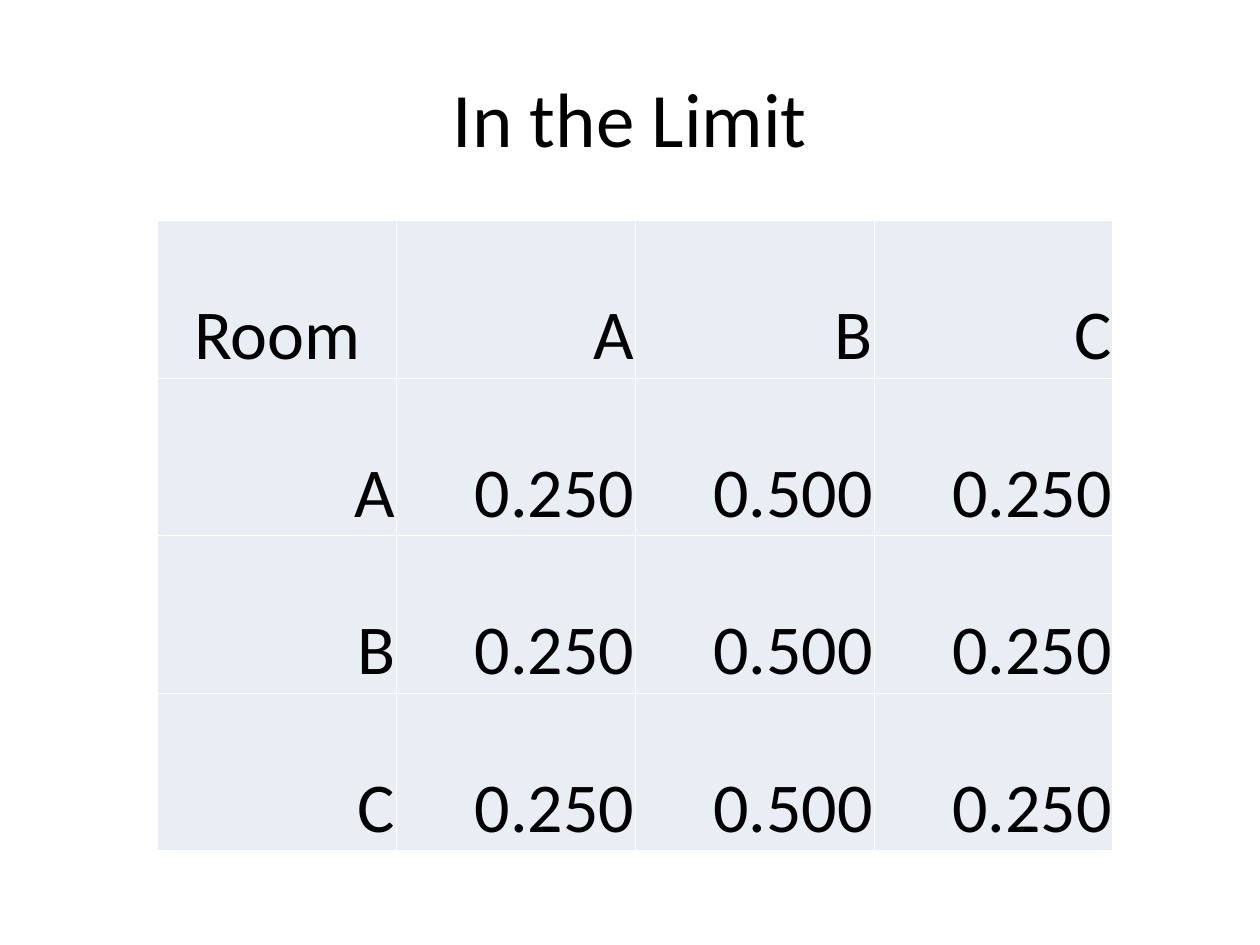
from lxml.etree import SubElement
from pptx import Presentation
from pptx.dml.color import RGBColor
from pptx.enum.text import MSO_ANCHOR as Anchor, PP_ALIGN as Align
from pptx.oxml.ns import qn
from pptx.util import Cm, Pt

COLOURS = {"text": "000000", "cell": "E9EDF4", "border": "FFFFFF"}
FONT = "Calibri"
ROOMS = ["A", "B", "C"]
LIMIT = ["0.250", "0.500", "0.250"]
CELL_FORMAT = {
    "margin_left": Cm(0.03),
    "margin_right": Cm(0.03),
    "margin_top": Cm(0.03),
    "margin_bottom": 0,
    "vertical_anchor": Anchor.BOTTOM,
}


def set_attributes(target, values):
    for name, value in values.items():
        setattr(target, name, value)


def write_text(text_frame, text, size, alignment):
    paragraph = text_frame.paragraphs[0]
    paragraph.alignment = alignment
    run = paragraph.add_run()
    run.text = text
    set_attributes(run.font, {"name": FONT, "size": Pt(size), "bold": False})
    run.font.color.rgb = RGBColor.from_string(COLOURS["text"])


def add_borders(cell):
    """Draw the four cell edges, which must come before the fill in the XML."""
    properties = cell._tc.get_or_add_tcPr()
    for side in ("lnL", "lnR", "lnT", "lnB"):
        line = SubElement(properties, qn(f"a:{side}"), w=str(Pt(1)))
        fill = SubElement(line, qn("a:solidFill"))
        SubElement(fill, qn("a:srgbClr"), val=COLOURS["border"])


def place_title(slide, left, top, width, height):
    title = slide.shapes.title
    set_attributes(title, {"left": left, "top": top, "width": width, "height": height})
    title.text_frame.vertical_anchor = Anchor.MIDDLE
    write_text(title.text_frame, "In the Limit", 44, Align.CENTER)


def add_room_table(slide, left, top, width, height):
    rows = [["Room", *ROOMS]] + [[room, *LIMIT] for room in ROOMS]
    frame = slide.shapes.add_table(len(rows), len(rows[0]), left, top, width, height)
    table = frame.table
    set_attributes(table, {"first_row": False, "horz_banding": False})
    for row_index, row in enumerate(rows):
        for column_index, text in enumerate(row):
            cell = table.cell(row_index, column_index)
            set_attributes(cell, CELL_FORMAT)
            add_borders(cell)
            cell.fill.solid()
            cell.fill.fore_color.rgb = RGBColor.from_string(COLOURS["cell"])
            alignment = Align.CENTER if text == "Room" else Align.RIGHT
            write_text(cell.text_frame, text, 40, alignment)


def main():
    presentation = Presentation()
    presentation.slide_width = Cm(25.4)
    presentation.slide_height = Cm(19.05)
    slide = presentation.slides.add_slide(presentation.slide_layouts[5])
    place_title(slide, Cm(1.27), Cm(0.76), Cm(22.86), Cm(3.18))
    add_room_table(slide, Cm(3.18), Cm(4.45), Cm(19.26), Cm(12.7))
    presentation.save("out.pptx")


if __name__ == "__main__":
    main()
